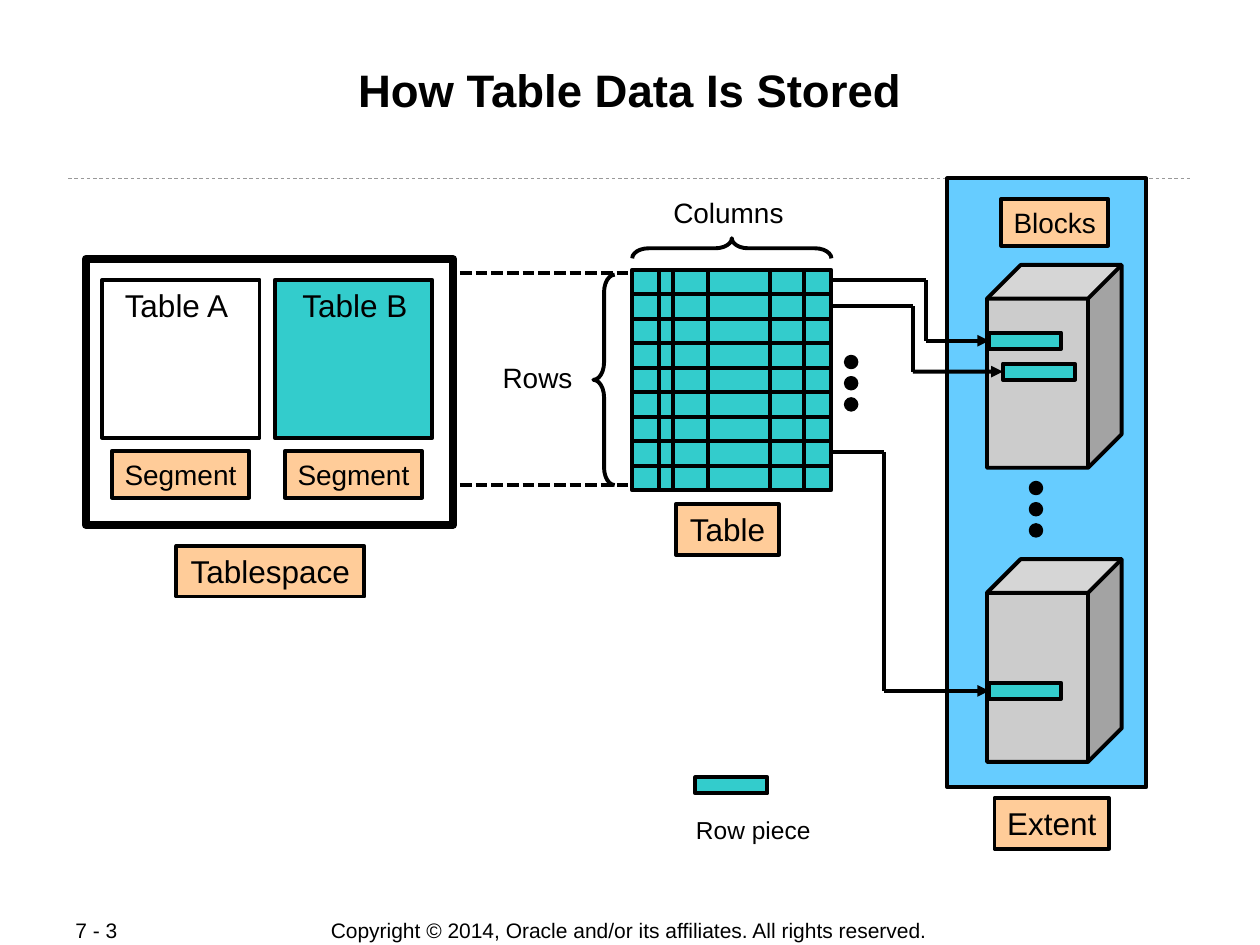
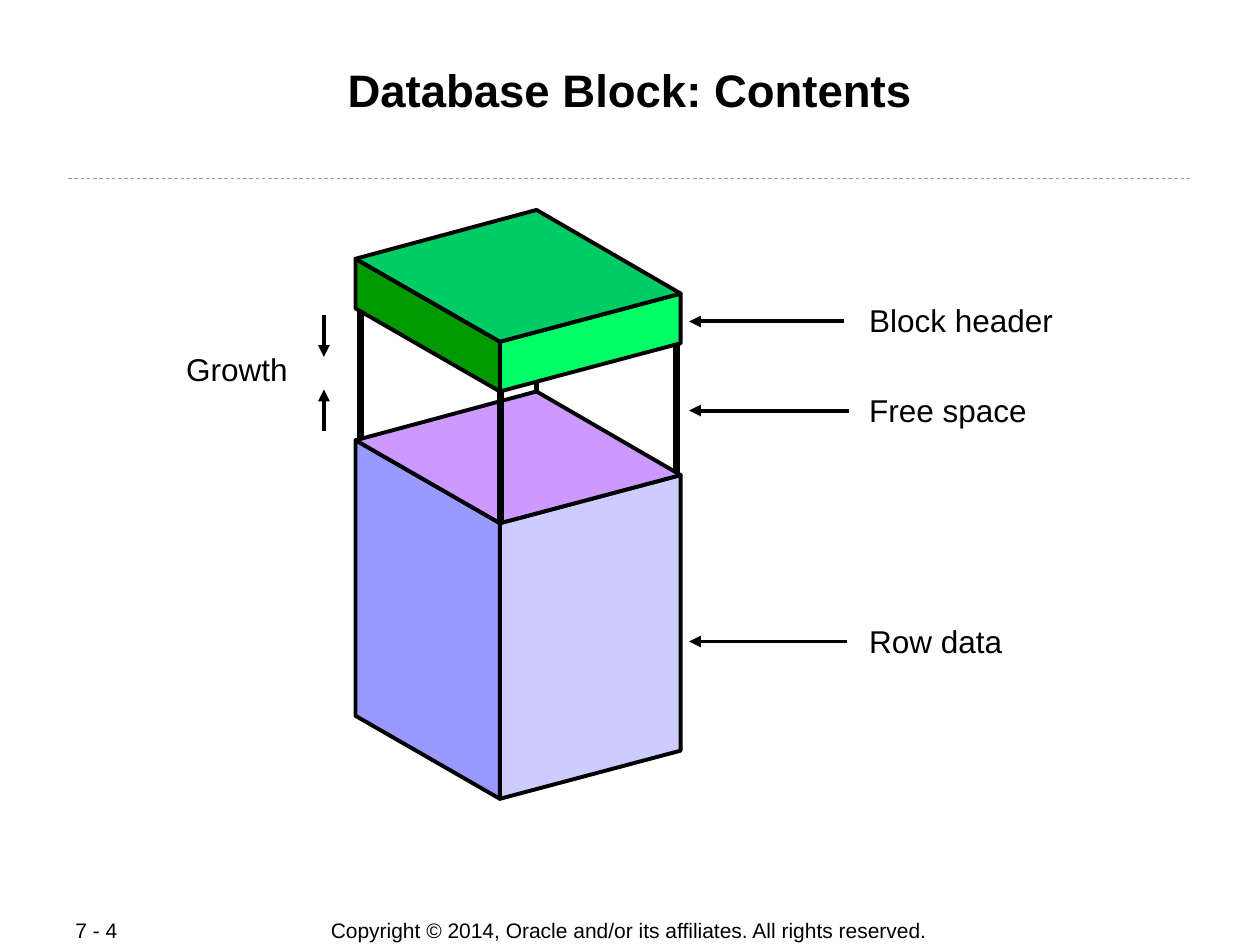
from dataclasses import dataclass
from typing import Optional

import pptx
import pptx.dml.color
import pptx.enum.dml
import pptx.enum.shapes
import pptx.enum.text
import pptx.oxml
import pptx.oxml.ns
import pptx.util

Pt = pptx.util.Pt
SHAPE = pptx.enum.shapes.MSO_SHAPE
DASH = pptx.enum.dml.MSO_LINE
ALIGN = pptx.enum.text.PP_ALIGN
ANCHOR = pptx.enum.text.MSO_ANCHOR

FONT = "Arial"
COLORS = {
    "ink": "000000",
    "rule": "999999",
    "extent": "66CCFF",
    "label": "FFCC99",
    "row": "33CCCC",
    "block": "CCCCCC",
    "data_right": "CCCCFF",
    "data_left": "9999FF",
    "data_top": "CC99FF",
    "header_right": "00FF66",
    "header_left": "009900",
    "header_top": "00CC66",
}
COPYRIGHT = "Copyright © 2014, Oracle and/or its affiliates. All rights reserved."


@dataclass
class Label:
    text: str
    x: float
    y: float
    w: float
    h: float
    size: float = 18
    fill: Optional[str] = None


@dataclass
class Route:
    x: float
    y: float
    bend: float
    piece_x: float
    piece_y: float


@dataclass
class Prism:
    name: str
    drop: float
    depth: float


@dataclass
class Callout:
    text: str
    text_y: float
    arrow_x: float
    arrow_y: float


LABELS = [
    Label("Tablespace", 100.8, 312, 107.3, 28.9, 18, "label"),
    Label("Segment", 63.9, 257.8, 78.5, 26.6, 16, "label"),
    Label("Segment", 162.7, 257.8, 78.5, 26.6, 16, "label"),
    Label("Table", 386.2, 288, 59, 29, 18, "label"),
    Label("Blocks", 572.1, 113.8, 61.2, 26.6, 16, "label"),
    Label("Extent", 568.3, 456, 65.5, 29, 18, "label"),
    Label("Table A", 55.8, 160.1, 90, 28.8),
    Label("Table B", 157.8, 160.1, 90, 28.8),
    Label("Rows", 271.2, 202.3, 72, 26.6, 16),
    Label("Columns", 366.3, 108, 100, 26.6, 16),
    Label("Row piece", 380.5, 462.2, 100, 24.5, 14),
]

TABLE_X, TABLE_Y, TABLE_W, TABLE_H = 361.2, 154.2, 113.8, 126
TABLE_ROWS = 9
COLUMN_LINES = [376.6, 384.6, 404.4, 440, 459.6]
PIECE_W, PIECE_H = 41.2, 9.2

ROUTES = [
    Route(475, 160.1, 529.2, 565.2, 190.1),
    Route(475, 175, 521.6, 573.1, 207.8),
    Route(475, 258.5, 505.2, 565.2, 390.2),
]

WEST, NORTH, EAST, SOUTH = (203.2, 147.9), (306.6, 120), (389, 167.8), (285.7, 195.3)
HEADER = Prism("header", 0, 28.4)
DATA = Prism("data", 103.7, 157.5)

CALLOUTS = [
    Callout("Block header", 168.5, 482.4, 183.7),
    Callout("Free space", 220, 485.3, 234.6),
    Callout("Row data", 352.1, 483.8, 366.6),
]


def rgb(name: str) -> pptx.dml.color.RGBColor:
    return pptx.dml.color.RGBColor.from_string(COLORS[name])


def write(sp, text: str, *, size: float = 18, bold: bool = False, align=ALIGN.CENTER,
          anchor=ANCHOR.TOP, wrap: bool = False, inset=(7.2, 3.6)) -> None:
    tf = sp.text_frame
    tf.word_wrap = wrap
    tf.vertical_anchor = anchor
    tf.margin_left = tf.margin_right = Pt(inset[0])
    tf.margin_top = tf.margin_bottom = Pt(inset[1])
    p = tf.paragraphs[0]
    p.alignment = align
    r = p.add_run()
    r.text = text
    r.font.name = FONT
    r.font.size = Pt(size)
    r.font.bold = bold
    r.font.color.rgb = rgb("ink")


def paint(sp, fill: Optional[str], width: float):
    sp.shadow.inherit = False
    if fill:
        sp.fill.solid()
        sp.fill.fore_color.rgb = rgb(fill)
    else:
        sp.fill.background()
    sp.line.color.rgb = rgb("ink")
    sp.line.width = Pt(width)
    return sp


def shape(s, kind, x: float, y: float, w: float, h: float,
          fill: Optional[str] = None, width: float = 2.25):
    return paint(s.shapes.add_shape(kind, Pt(x), Pt(y), Pt(w), Pt(h)), fill, width)


def textbox(s, text: str, x: float, y: float, w: float, h: float, **fmt) -> None:
    write(s.shapes.add_textbox(Pt(x), Pt(y), Pt(w), Pt(h)), text, **fmt)


def line(s, x1: float, y1: float, x2: float, y2: float, *, color: str = "ink",
         width: float = 2.25, dash=None, arrow: bool = False):
    straight = pptx.enum.shapes.MSO_CONNECTOR.STRAIGHT
    cx = s.shapes.add_connector(straight, Pt(x1), Pt(y1), Pt(x2), Pt(y2))
    cx.line.color.rgb = rgb(color)
    cx.line.width = Pt(width)
    if dash:
        cx.line.dash_style = dash
    qn = pptx.oxml.ns.qn
    props = cx._element.spPr
    if arrow:
        tail = props.find(qn("a:ln")).makeelement(qn("a:tailEnd"), {"type": "triangle"})
        props.find(qn("a:ln")).append(tail)
    props.append(props.makeelement(qn("a:effectLst"), {}))
    return cx


def polygon(s, points, fill: str) -> None:
    start, *rest = [(Pt(x), Pt(y)) for x, y in points]
    fb = s.shapes.build_freeform(*start)
    fb.add_line_segments(rest, close=True)
    paint(fb.convert_to_shape(), fill, 2.25)


def new_slide(prs, title: str, number: str):
    s = prs.slides.add_slide(prs.slide_layouts[6])
    textbox(s, COPYRIGHT, 159.4, 524.2, 400, 15.1, size=12, anchor=ANCHOR.MIDDLE)
    line(s, 38.9, 102.2, 681.1, 102.2, color="rule", width=0.5, dash=DASH.DASH)
    textbox(s, number, 36, 524.2, 76.3, 15.1, size=12, align=ALIGN.LEFT,
            anchor=ANCHOR.MIDDLE, wrap=True)
    textbox(s, title, 48.2, 34.6, 623.5, 69.1, size=26, bold=True, wrap=True,
            inset=(0.7, 0.7))
    return s


def brace(s, x: float, y: float, w: float, h: float, rotation: float) -> None:
    sp = shape(s, SHAPE.LEFT_BRACE, x, y, w, h)
    sp.adjustments[0] = 0.82
    sp.rotation = rotation


def row_piece(s, x: float, y: float):
    return shape(s, SHAPE.RECTANGLE, x, y, PIECE_W, PIECE_H, "row")


def dots(s, x: float, y: float) -> None:
    for i in range(3):
        shape(s, SHAPE.OVAL, x, y + 12.1 * i, 6, 6, "ink")


def table_grid(s) -> None:
    right, bottom = TABLE_X + TABLE_W, TABLE_Y + TABLE_H
    shape(s, SHAPE.RECTANGLE, TABLE_X, TABLE_Y, TABLE_W, TABLE_H, "row")
    for i in range(1, TABLE_ROWS):
        y = TABLE_Y + TABLE_H * i / TABLE_ROWS
        line(s, TABLE_X, y, right, y)
    for x in COLUMN_LINES:
        line(s, x, TABLE_Y, x, bottom)


def route(s, rt: Route) -> None:
    piece = row_piece(s, rt.piece_x, rt.piece_y)
    middle = rt.piece_y + PIECE_H / 2
    line(s, rt.x, rt.y, rt.bend, rt.y)
    line(s, rt.bend, rt.y, rt.bend, middle)
    line(s, rt.bend, middle, rt.piece_x, middle, arrow=True).end_connect(piece, 1)


def prism(s, pr: Prism) -> None:
    def lowered(points, by: float):
        return [(x, y + by) for x, y in points]

    for side, edge in (("right", [EAST, SOUTH]), ("left", [WEST, SOUTH])):
        face = lowered(edge, pr.drop) + lowered(edge[::-1], pr.drop + pr.depth)
        polygon(s, face, f"{pr.name}_{side}")
    polygon(s, lowered([WEST, NORTH, EAST, SOUTH], pr.drop), f"{pr.name}_top")


def storage_slide(prs) -> None:
    s = new_slide(prs, "How Table Data Is Stored", "7 - 3")
    shape(s, SHAPE.RECTANGLE, 541.2, 102, 113.8, 347.8, "extent")
    shape(s, SHAPE.RECTANGLE, 49, 148, 210, 152, width=4.5)
    for x, fill in ((58.3, None), (157, "row")):
        shape(s, SHAPE.RECTANGLE, x, 160, 90, 90.2, fill)
    table_grid(s)
    brace(s, 339.1, 157, 12.2, 120.2, 0)
    brace(s, 412.4, 85, 11.5, 113.8, 90)
    for y in (156.2, 277.2):
        line(s, 262.8, y, 359.3, y, dash=DASH.SQUARE_DOT)
    for y in (151.4, 319.5):
        sp = shape(s, SHAPE.CUBE, 564, y, 77, 115.9, "block")
        sp.adjustments[0] = 0.25
    for rt in ROUTES:
        route(s, rt)
    dots(s, 589, 275.9)
    dots(s, 483.4, 203.9)
    row_piece(s, 397.4, 444.2)
    for lb in LABELS:
        if lb.fill:
            sp = shape(s, SHAPE.RECTANGLE, lb.x, lb.y, lb.w, lb.h, lb.fill)
            write(sp, lb.text, size=lb.size)
        else:
            textbox(s, lb.text, lb.x, lb.y, lb.w, lb.h, size=lb.size)


def block_slide(prs) -> None:
    s = new_slide(prs, "Database Block: Contents", "7 - 4")
    line(s, 205.9, 175, 205.9, 252, width=4)
    line(s, 386.6, 196.6, 386.6, 270.7, width=4)
    prism(s, DATA)
    line(s, 286.2, 222.5, 286.2, 298.8, width=4)
    line(s, 306.7, 170.6, 306.7, 225.4, width=3)
    prism(s, HEADER)
    for c in CALLOUTS:
        textbox(s, c.text, 490.2, c.text_y, 131.8, 28.1, align=ALIGN.LEFT, wrap=True,
                inset=(6.5, 3.6))
        line(s, c.arrow_x, c.arrow_y, 393.8, c.arrow_y, arrow=True)
    textbox(s, "Growth", 85.4, 196.6, 100, 28.8)
    for start, end in ((180, 203.9), (246.5, 222.6)):
        line(s, 185.1, start, 185.1, end, arrow=True)


def main() -> None:
    prs = pptx.Presentation()
    prs.slide_width, prs.slide_height = Pt(720), Pt(540)
    storage_slide(prs)
    block_slide(prs)
    prs.save("out.pptx")


if __name__ == "__main__":
    main()
